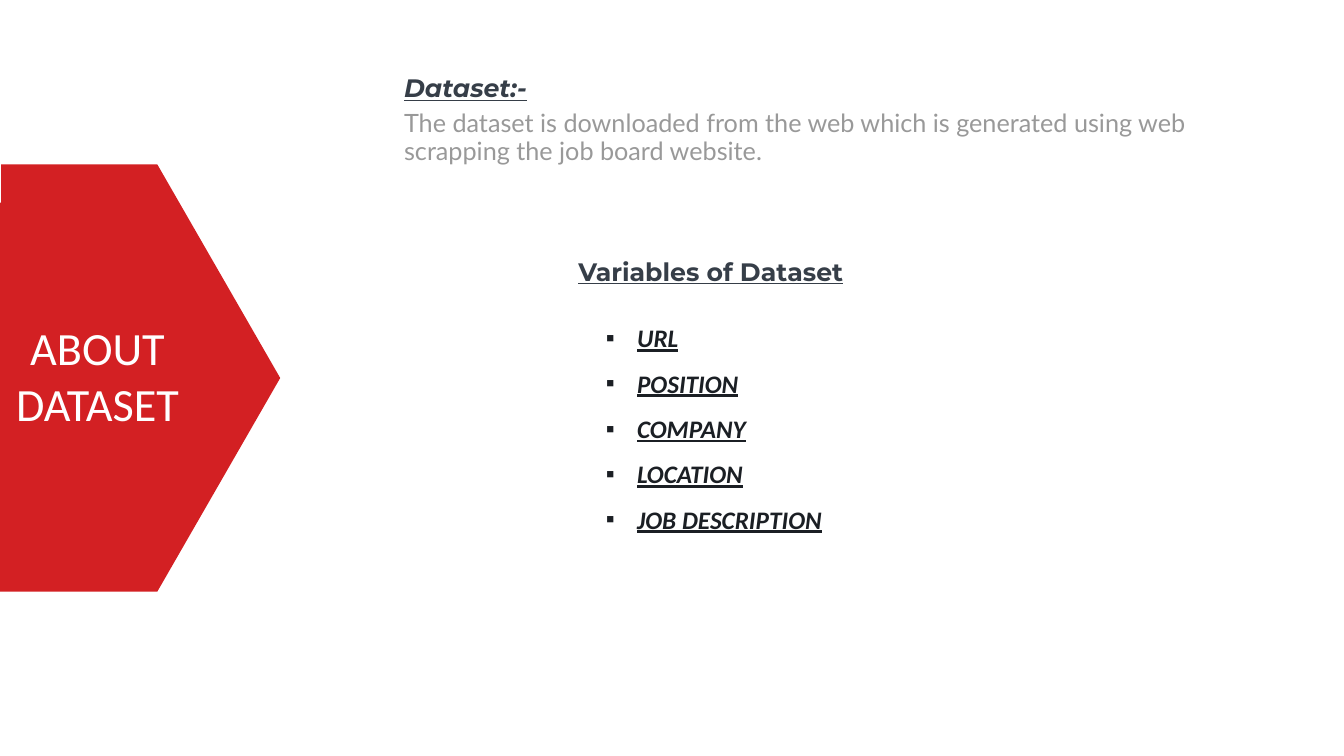
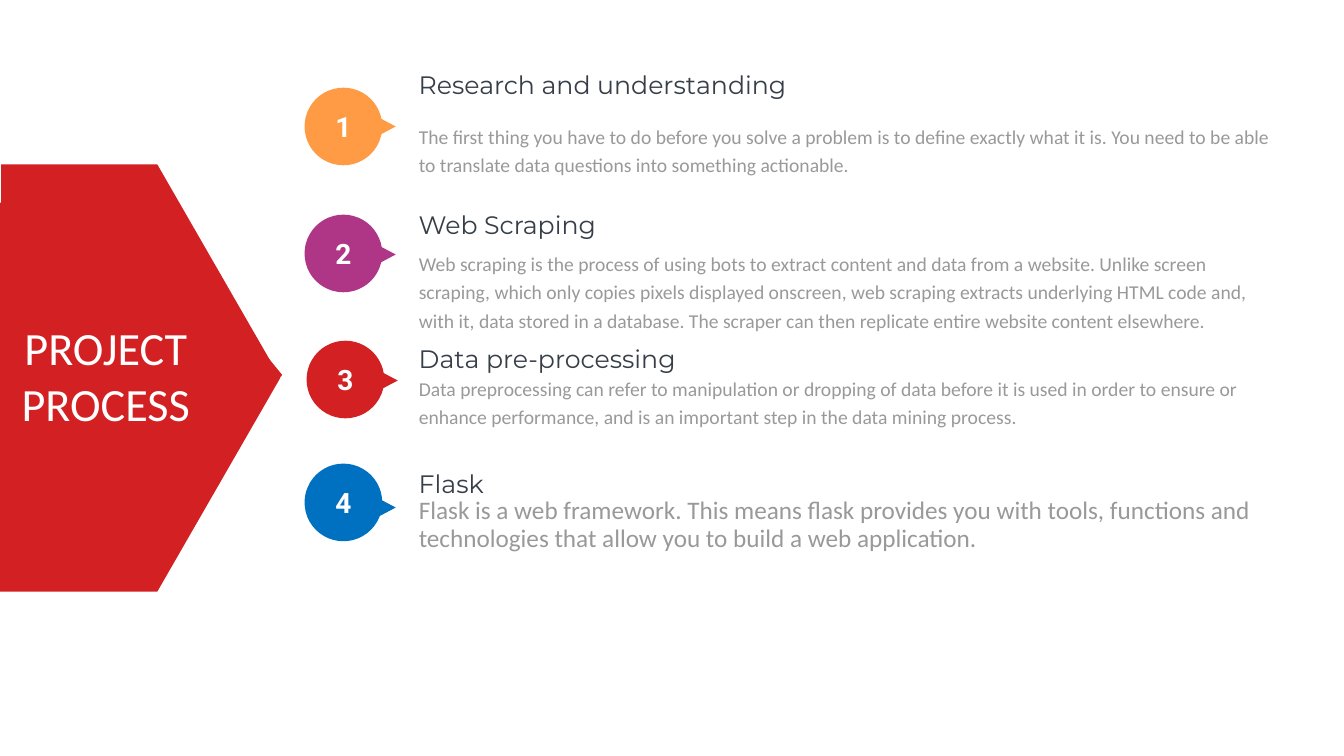
"""Build two slides: the dataset and its variables, then the four project steps."""
from dataclasses import dataclass, replace
from typing import Optional

from lxml.etree import SubElement
from pptx import Presentation
from pptx.dml.color import RGBColor
from pptx.enum.shapes import MSO_SHAPE as Preset
from pptx.enum.text import MSO_ANCHOR as Anchor, PP_ALIGN as Align
from pptx.oxml.ns import qn
from pptx.shapes.autoshape import Shape
from pptx.slide import Slide
from pptx.text.text import TextFrame
from pptx.util import Inches, Length, Pt

WIDTH, HEIGHT = Inches(13.33), Inches(7.5)
COLORS = {
    "white": "FFFFFF", "red": "D32023", "orange": "FF9A45", "purple": "AF3686",
    "blue": "0070C0", "heading": "363E48", "body": "999999", "ink": "1B1F24",
}
ARROW_OUTLINE = [
    (20.85, 50), (11.7, 21.73), (0.08, 21.73), (0.08, 30.93), (8.78, 30.8),
    (14.93, 50), (8.78, 69.2), (0, 69.33), (0, 78.27), (11.7, 78.27),
]
HEADING_HEIGHT, BODY_HEIGHT = 5.33, 8.8
BUBBLE_WIDTH, BUBBLE_HEIGHT = 5.78, 10.27
STEP_TEXT_LEFT = 30.42


@dataclass(frozen=True)
class Box:
    """Place and size in percent of the slide's width and height."""
    left: float
    top: float
    width: float
    height: float

    def lengths(self) -> tuple[Length, ...]:
        """Return the four lengths that python-pptx expects."""
        return across(self.left), down(self.top), across(self.width), down(self.height)


@dataclass(frozen=True)
class Style:
    """Look of a run and of its paragraph."""
    font: str
    size: float
    color: str
    bold: bool = False
    italic: bool = False
    underline: bool = False
    align: Align = Align.LEFT
    spacing: Optional[float] = None
    bullet: str = ""


@dataclass(frozen=True)
class Step:
    """One numbered step of the project."""
    color: str
    bubble_left: float
    bubble_top: float
    pointer_drop: float
    heading_top: float
    heading: str
    body_top: float
    body: str
    body_width: float = 66.32
    body_size: float = 14


HEADING = Style("Montserrat", 18, "heading")
BODY = Style("Calibri", 14, "body", spacing=Pt(20.4))
BANNER = Style("Calibri", 33, "white", align=Align.CENTER)
NUMBER = Style("Roboto", 20, "white", bold=True, align=Align.CENTER)
VARIABLE = Style("Calibri", 18, "ink", bold=True, italic=True, underline=True,
                 spacing=1.5, bullet="▪")

VARIABLES = ["URL", "POSITION", "COMPANY", "LOCATION", "JOB DESCRIPTION"]
STEPS = [
    Step("orange", 22.66, 11.6, 4, 8.53, "Research and understanding", 15.2,
         "The first thing you have to do before you solve a problem is to define exactly "
         "what it is. You need to be able to translate data questions into something "
         "actionable."),
    Step("purple", 22.66, 28.4, 4.13, 27.07, "Web Scraping", 32,
         "Web scraping is the\u00a0process of using bots to extract content and data from "
         "a website. Unlike screen scraping, which only copies pixels displayed onscreen, "
         "web scraping extracts underlying HTML code and, with it, data stored in a "
         "database. The scraper can then replicate entire website content elsewhere.",
         body_width=64.82),
    Step("red", 22.81, 45.07, 4.13, 44.8, "Data pre-processing", 48.53,
         "Data preprocessing can refer to manipulation or dropping of data before it is "
         "used in order to ensure or enhance performance, and is an important step in the "
         "data mining process."),
    Step("blue", 22.66, 61.33, 4.67, 61.33, "Flask", 64.93,
         "Flask is\u00a0a web framework. This means flask provides you with tools, "
         "functions and technologies that allow you to build a web application.",
         body_size=18),
]


def across(share: float) -> Length:
    """Turn a percentage of the slide's width into a length."""
    return Length(round(WIDTH * share / 100))


def down(share: float) -> Length:
    """Turn a percentage of the slide's height into a length."""
    return Length(round(HEIGHT * share / 100))


def write(frame: TextFrame, paragraphs: list[str], style: Style) -> None:
    """Fill a frame with paragraphs of one style; a newline breaks the line."""
    frame.word_wrap = True
    for index, content in enumerate(paragraphs):
        paragraph = frame.add_paragraph() if index else frame.paragraphs[0]
        paragraph.alignment = style.align
        if style.spacing is not None:
            paragraph.line_spacing = style.spacing
        if style.bullet:
            properties = paragraph._p.get_or_add_pPr()
            properties.set("marL", str(Inches(0.31)))
            properties.set("indent", str(-Inches(0.31)))
            SubElement(properties, qn("a:buFont")).set("typeface", "Arial")
            SubElement(properties, qn("a:buChar")).set("char", style.bullet)
        for part, line in enumerate(content.split("\n")):
            if part:
                paragraph.add_line_break()
            run = paragraph.add_run()
            run.text = line
            run.font.name, run.font.size = style.font, Pt(style.size)
            run.font.bold, run.font.italic = style.bold, style.italic
            run.font.underline = style.underline
            run.font.color.rgb = RGBColor.from_string(COLORS[style.color])


def add_text(slide: Slide, box: Box, paragraphs: list[str], style: Style) -> None:
    """Add a text box."""
    write(slide.shapes.add_textbox(*box.lengths()).text_frame, paragraphs, style)


def paint(figure: Shape, color: str) -> Shape:
    """Give a figure a flat fill without line or shadow."""
    figure.shadow.inherit = False
    figure.fill.solid()
    figure.fill.fore_color.rgb = RGBColor.from_string(COLORS[color])
    figure.line.fill.background()
    return figure


def add_figure(slide: Slide, preset: Preset, box: Box, color: str) -> Shape:
    """Add a flat preset figure."""
    return paint(slide.shapes.add_shape(preset, *box.lengths()), color)


def add_banner(slide: Slide, title: str, width: float) -> None:
    """Draw the red arrow at the left edge with the slide's title."""
    start, *corners = [(across(x), down(y)) for x, y in ARROW_OUTLINE]
    outline = slide.shapes.build_freeform(*start)
    outline.add_line_segments(corners, close=True)
    paint(outline.convert_to_shape(), "red")
    plate = add_figure(slide, Preset.PENTAGON, Box(0, 26.8, width, 45.6), "red")
    plate.text_frame.vertical_anchor = Anchor.MIDDLE
    write(plate.text_frame, [title], BANNER)


def add_step(slide: Slide, number: int, step: Step) -> None:
    """Draw a numbered bubble with its pointer, heading and body."""
    bubble = add_figure(slide, Preset.OVAL, Box(
        step.bubble_left, step.bubble_top, BUBBLE_WIDTH, BUBBLE_HEIGHT), step.color)
    frame = bubble.text_frame
    frame.vertical_anchor = Anchor.MIDDLE
    frame.margin_left = frame.margin_right = across(0.98)
    frame.margin_top = frame.margin_bottom = down(0.93)
    write(frame, [str(number)], NUMBER)
    pointer = add_figure(slide, Preset.ISOSCELES_TRIANGLE, Box(
        step.bubble_left + 5.47, step.bubble_top + step.pointer_drop, 1.35, 2.27), step.color)
    pointer.rotation = 90
    add_text(slide, Box(STEP_TEXT_LEFT, step.heading_top, 34.06, HEADING_HEIGHT),
             [step.heading], HEADING)
    add_text(slide, Box(STEP_TEXT_LEFT, step.body_top, step.body_width, BODY_HEIGHT),
             [step.body], replace(BODY, size=step.body_size))


def build_dataset(slide: Slide) -> None:
    """Build the slide about the dataset."""
    add_banner(slide, "ABOUT DATASET", 19.35)
    add_text(slide, Box(29.33, 13.73, 65.19, BODY_HEIGHT),
             ["The dataset is downloaded from the web which is generated using web "
              "scrapping the job board website."],
             replace(BODY, font="Lato", size=18))
    strong = replace(HEADING, bold=True, underline=True)
    add_text(slide, Box(29.33, 8.93, 20.18, HEADING_HEIGHT), ["Dataset:-"],
             replace(strong, italic=True))
    add_text(slide, Box(44.34, 40, 30.68, 41.73), VARIABLES, VARIABLE)
    add_text(slide, Box(38.78, 33.2, 28.21, HEADING_HEIGHT), ["Variables of Dataset"],
             replace(strong, align=Align.CENTER))


def build_process(slide: Slide) -> None:
    """Build the slide about the project's steps."""
    add_banner(slide, "PROJECT\nPROCESS", 21)
    for number, step in enumerate(STEPS, start=1):
        add_step(slide, number, step)


def main() -> None:
    """Build and save the presentation."""
    deck = Presentation()
    deck.slide_width, deck.slide_height = WIDTH, HEIGHT
    for build in (build_dataset, build_process):
        build(deck.slides.add_slide(deck.slide_layouts[6]))
    deck.save("out.pptx")


main()
